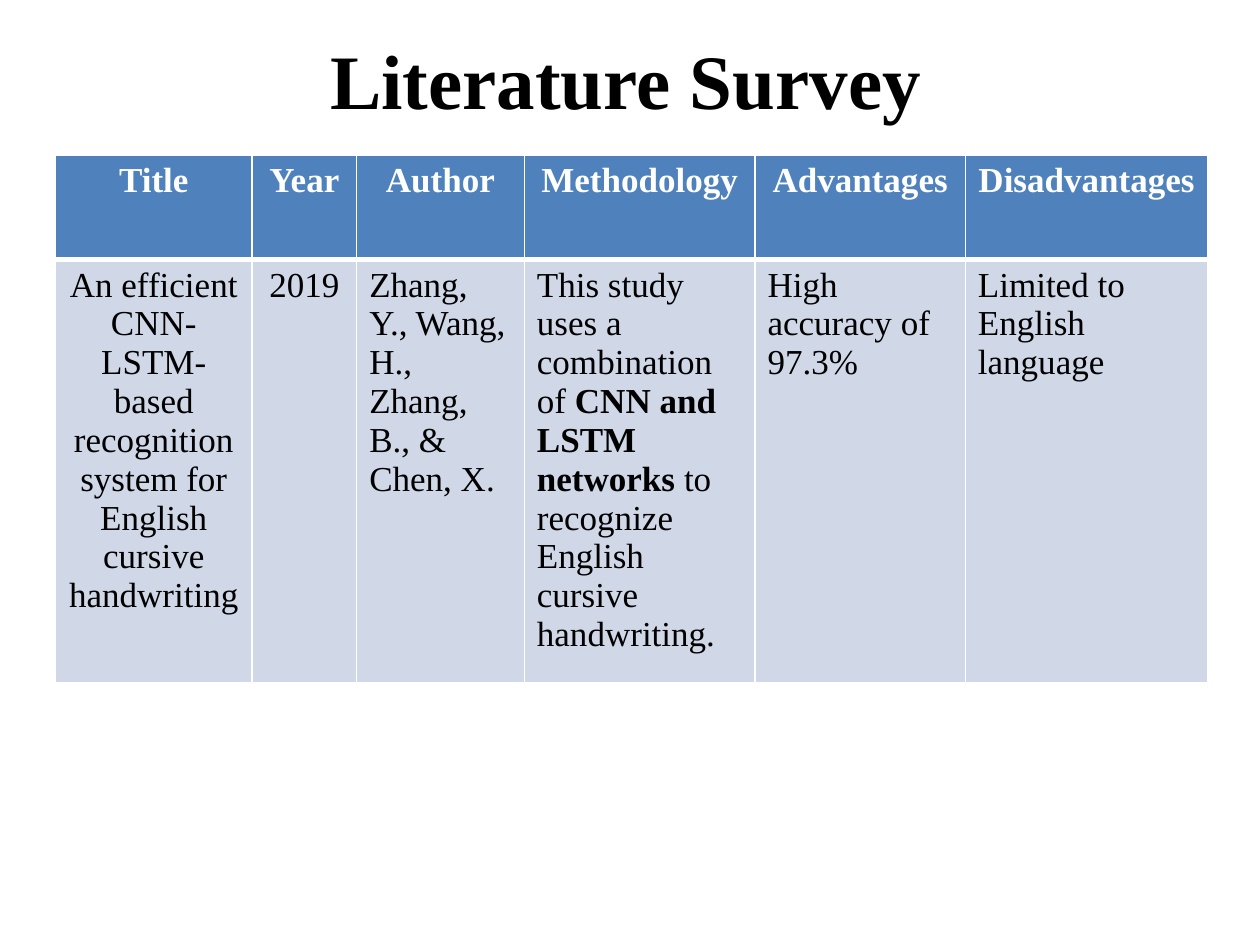
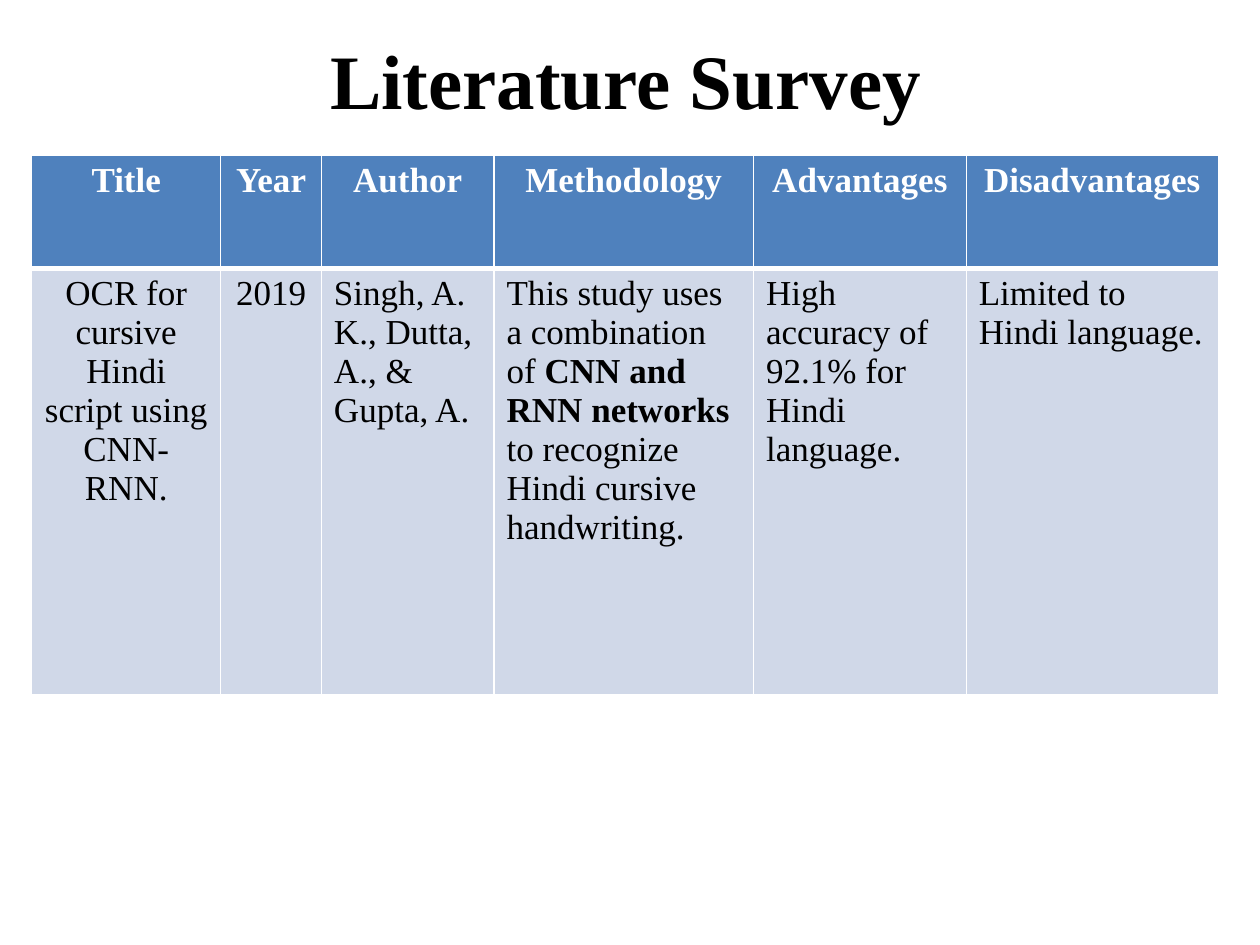
from dataclasses import dataclass

from lxml import etree
from pptx import Presentation
from pptx.dml.color import RGBColor
from pptx.enum.text import MSO_ANCHOR, PP_ALIGN
from pptx.oxml.ns import qn
from pptx.slide import Slide
from pptx.table import _Cell
from pptx.text.text import TextFrame
from pptx.util import Cm, Pt

CENTER, LEFT = PP_ALIGN.CENTER, PP_ALIGN.LEFT
MIDDLE = MSO_ANCHOR.MIDDLE
FONT = "Times New Roman"
COLORS = {
    "text": "000000",
    "header_text": "FFFFFF",
    "header": "4F81BD",
    "body": "D0D8E8",
    "border": "FFFFFF",
}
HEADERS = ("Title", "Year", "Author", "Methodology", "Advantages", "Disadvantages")
CENTERED_COLUMNS = ("Title", "Year")
TITLE_ONLY = 5
TABLE_TOP = 3.12
THIN, THICK = 1, 3


@dataclass
class Survey:
    left: float
    widths: tuple[float, ...]
    heights: tuple[float, float]
    title: str
    year: str
    author: str
    networks: str
    script: str
    advantages: str
    disadvantages: str

    def cells(self) -> list[list[str]]:
        methodology = [
            "This study uses a combination of ",
            f"{self.networks} networks ",
            f"to recognize {self.script} cursive handwriting.",
        ]
        return [[self.title], [self.year], [self.author], methodology,
                [self.advantages], [self.disadvantages]]


SURVEYS = (
    Survey(
        left=1.12,
        widths=(3.96, 2.11, 3.38, 4.65, 4.24, 4.89),
        heights=(2.11, 8.53),
        title="An efficient CNN-LSTM-based recognition system for English cursive handwriting",
        year="2019",
        author="Zhang, Y., Wang, H., Zhang, B., & Chen, X.",
        networks="CNN and LSTM",
        script="English",
        advantages="High accuracy of 97.3%",
        disadvantages="Limited to English language",
    ),
    Survey(
        left=0.64,
        widths=(3.81, 2.03, 3.48, 5.23, 4.29, 5.08),
        heights=(2.29, 8.59),
        title="OCR for cursive Hindi script using CNN-RNN.",
        year="2019",
        author="Singh, A. K., Dutta, A., & Gupta, A.",
        networks="CNN and RNN",
        script="Hindi",
        advantages="High accuracy of 92.1% for Hindi language.",
        disadvantages="Limited to Hindi language.",
    ),
)


def write(tf: TextFrame, runs: list[str], size: int = 20, color: str = "text",
          bold: bool = False, align: PP_ALIGN = CENTER) -> None:
    p = tf.paragraphs[0]
    p.alignment = align
    for i, text in enumerate(runs):
        r = p.add_run()
        r.text = text
        r.font.name = FONT
        r.font.size = Pt(size)
        r.font.bold = bold or i % 2 == 1
        r.font.color.rgb = RGBColor.from_string(COLORS[color])


def style_cell(cell: _Cell, fill: str, top: int = THIN, bottom: int = THIN) -> None:
    tc_pr = cell._tc.get_or_add_tcPr()
    for side, width in zip("LRTB", (THIN, THIN, top, bottom)):
        ln = etree.SubElement(tc_pr, qn(f"a:ln{side}"), w=str(Pt(width)))
        solid = etree.SubElement(ln, qn("a:solidFill"))
        etree.SubElement(solid, qn("a:srgbClr"), val=COLORS["border"])
    cell.fill.solid()
    cell.fill.fore_color.rgb = RGBColor.from_string(COLORS[fill])


def add_title(s: Slide, text: str) -> None:
    sp = s.shapes.title
    sp.left, sp.top, sp.width, sp.height = Cm(1.19), Cm(0), Cm(22.86), Cm(3.18)
    sp.text_frame.vertical_anchor = MIDDLE
    write(sp.text_frame, [text], size=44, bold=True)


def add_survey_table(s: Slide, survey: Survey) -> None:
    table = s.shapes.add_table(
        2, len(HEADERS), Cm(survey.left), Cm(TABLE_TOP),
        Cm(sum(survey.widths)), Cm(sum(survey.heights))).table
    for row, height in zip(table.rows, survey.heights):
        row.height = Cm(height)
    columns = zip(HEADERS, survey.widths, survey.cells())
    for i, (header, width, runs) in enumerate(columns):
        table.columns[i].width = Cm(width)
        head, body = table.cell(0, i), table.cell(1, i)
        style_cell(head, "header", bottom=THICK)
        style_cell(body, "body", top=THICK)
        write(head.text_frame, [header], color="header_text", bold=True)
        write(body.text_frame, runs,
              align=CENTER if header in CENTERED_COLUMNS else LEFT)


def main() -> None:
    prs = Presentation()
    prs.slide_width, prs.slide_height = Cm(25.4), Cm(19.05)
    for survey in SURVEYS:
        s = prs.slides.add_slide(prs.slide_layouts[TITLE_ONLY])
        add_title(s, "Literature Survey")
        add_survey_table(s, survey)
    prs.save("out.pptx")


if __name__ == "__main__":
    main()
